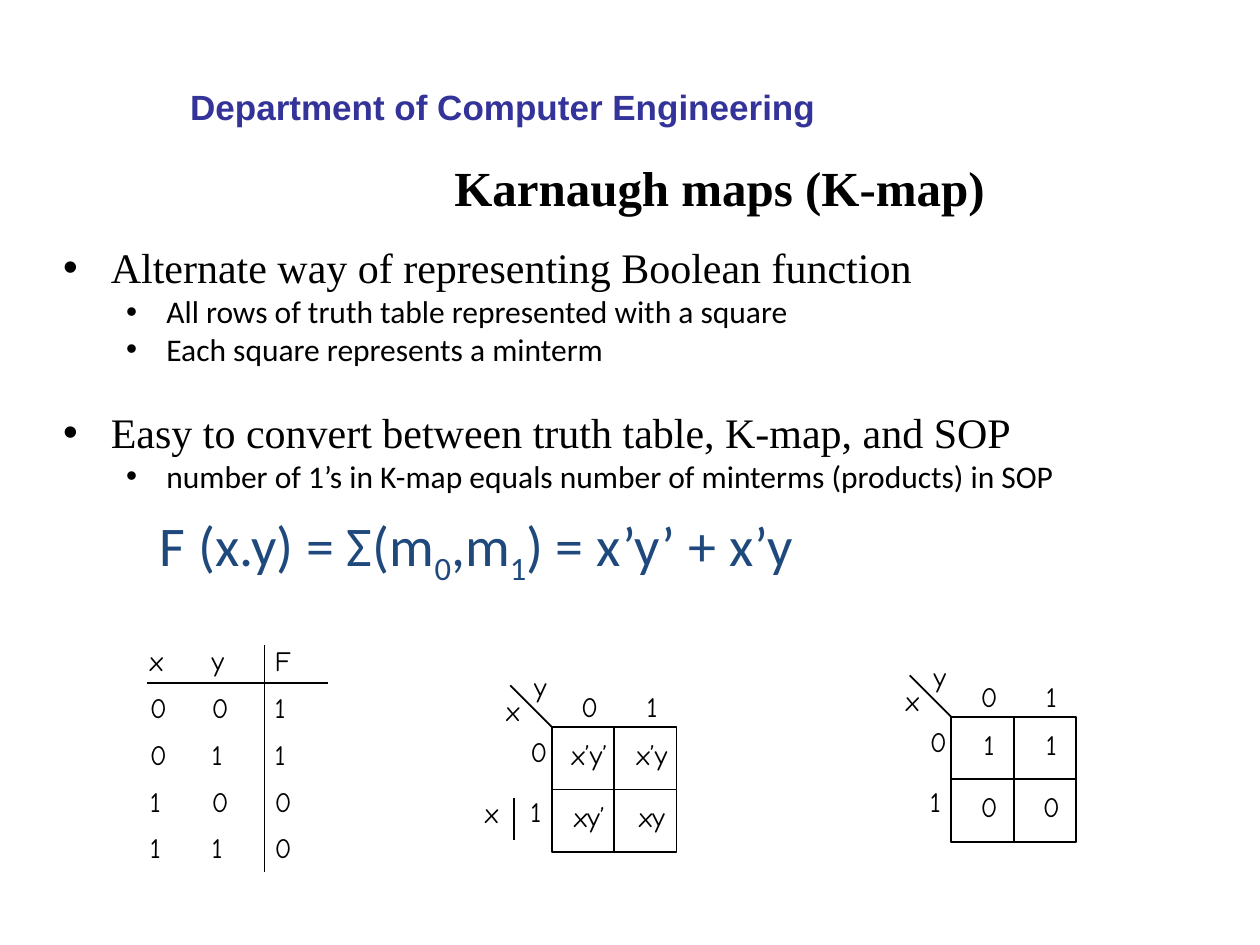
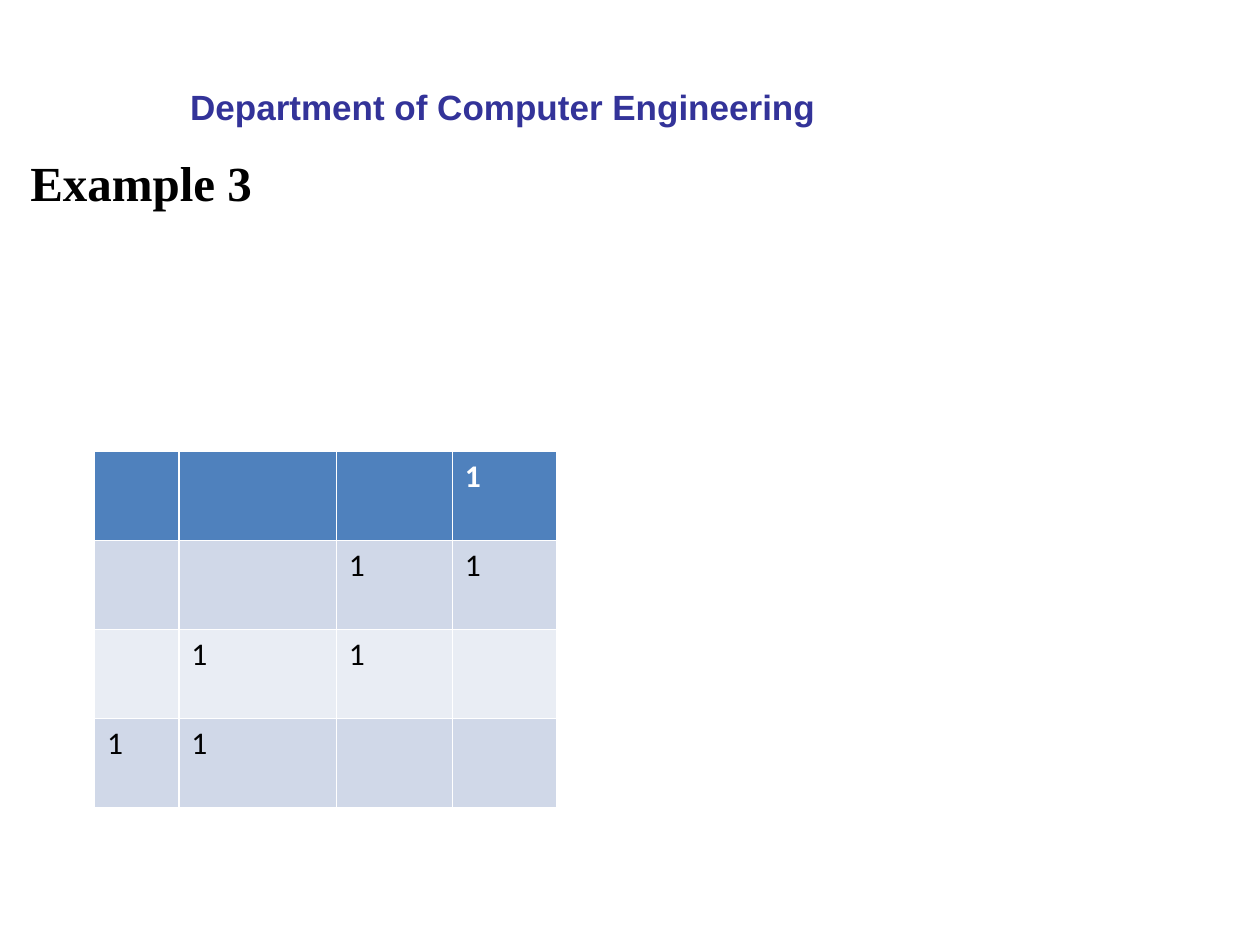
from lxml import etree
from pptx import Presentation
from pptx import util as u
from pptx.dml.color import RGBColor
from pptx.enum import shapes, text
from pptx.oxml.ns import qn

COLORS = {"ink": "000000", "header": "333399", "formula": "1F497D", "white": "FFFFFF",
          "accent": "4F81BD", "band": "D0D8E8", "light": "E9EDF4"}
COLS, ROWS = 100, 75  # grid laid over the slide
HEADING = {"size": 28, "name": "Times New Roman", "bold": True}
HEADER = {"size": 20, "name": "Arial", "bold": True, "color": "header"}
POINT = {"size": 24, "name": "Times New Roman"}
SUBPOINT = {"size": 18, "name": "Calibri"}
FORMULA = {"size": 32, "name": "Calibri", "color": "formula"}
HAND = {"size": 16, "name": "Comic Neue"}
LABEL_LINE, CELL_LINE = 15.8, 17.8  # line spacing in points
LEFT, CENTER = text.PP_ALIGN.LEFT, text.PP_ALIGN.CENTER


class Deck:
    """Holds the style and the current slide; lengths are grid columns and rows."""

    def __init__(self):
        self.prs = Presentation()
        self.prs.slide_width, self.prs.slide_height = u.Inches(10), u.Inches(7.5)
        self.s = None

    def x(self, cols):
        return u.Emu(round(self.prs.slide_width * cols / COLS))

    def y(self, rows):
        return u.Emu(round(self.prs.slide_height * rows / ROWS))

    def box(self, left, top, width, height):
        return self.x(left), self.y(top), self.x(width), self.y(height)

    def style(self, font, fmt):
        fmt = {"color": "ink", "bold": False, **fmt}
        font.color.rgb = RGBColor.from_string(COLORS[fmt.pop("color")])
        fmt["size"] = u.Pt(fmt["size"])
        for key, value in fmt.items():
            setattr(font, key, value)

    def run(self, p, words, fmt):
        r = p.add_run()
        r.text = words
        self.style(r.font, fmt)
        return r

    def frame(self, sp, inset=(0, 0)):
        """Prepare a text frame; inset is (sides, top and bottom) in inches."""
        tf = sp.text_frame
        side, end = (u.Inches(v) for v in inset)
        settings = {"word_wrap": True, "auto_size": text.MSO_AUTO_SIZE.NONE,
                    "vertical_anchor": text.MSO_ANCHOR.TOP, "margin_left": side,
                    "margin_right": side, "margin_top": end, "margin_bottom": end}
        for key, value in settings.items():
            setattr(tf, key, value)
        return tf

    def place(self, sp, area):
        for key, value in zip(("left", "top", "width", "height"), self.box(*area)):
            setattr(sp, key, value)

    def slide(self, layout, title, area, align=LEFT):
        self.s = self.prs.slides.add_slide(self.prs.slide_layouts[layout])
        sp = self.s.shapes.title
        self.place(sp, area)
        p = self.frame(sp).paragraphs[0]
        p.alignment = align
        self.run(p, title, HEADING)
        self.text(["Department of Computer Engineering"], (15.1, 6.6, 52, 3.6), HEADER,
                  inset=(0, 0.02))

    def bullets(self, items, area):
        """Fill the body placeholder from (level, space before, words) items."""
        sp = self.s.placeholders[1]
        self.place(sp, area)
        tf = self.frame(sp)
        for i, (level, gap, words) in enumerate(items):
            p = tf.add_paragraph() if i else tf.paragraphs[0]
            p.level, p.space_before = level, u.Pt(gap)
            margin, hang = ((0.38, 0.38), (0.82, 0.32))[level]
            pPr = p._p.get_or_add_pPr()
            pPr.set("marL", str(u.Inches(margin)))
            pPr.set("indent", str(-u.Inches(hang)))
            etree.SubElement(pPr, qn("a:buChar")).set("char", "•")
            self.run(p, words, (POINT, SUBPOINT)[level])

    def text(self, lines, area, fmt, align=LEFT, spacing=None, gap=0, tabs=(),
             inset=(0.02, 0.03)):
        sp = self.s.shapes.add_textbox(*self.box(*area))
        tf = self.frame(sp, inset)
        for i, words in enumerate(lines):
            p = tf.add_paragraph() if i else tf.paragraphs[0]
            p.alignment = align
            p.space_before = u.Pt(gap if i else 0)
            if spacing:
                p.line_spacing = u.Pt(spacing)
            if tabs:
                tab_list = etree.SubElement(p._p.get_or_add_pPr(), qn("a:tabLst"))
                for pos in tabs:
                    tab = etree.SubElement(tab_list, qn("a:tab"))
                    tab.set("pos", str(self.x(pos)))
                    tab.set("algn", "l")
            self.run(p, words, fmt)
        return tf

    def formula(self, parts, area):
        """Write parts on one line, every second part as a subscript."""
        p = self.text([parts[0]], area, FORMULA, inset=(0.1, 0.05)).paragraphs[0]
        for i, words in enumerate(parts[1:], 1):
            r = self.run(p, words, FORMULA)
            if i % 2:
                r._r.get_or_add_rPr().set("baseline", "-25000")

    def line(self, x1, y1, x2, y2):
        c = self.s.shapes.add_connector(shapes.MSO_CONNECTOR.STRAIGHT, self.x(x1),
                                        self.y(y1), self.x(x2), self.y(y2))
        c.line.width = u.Pt(1)
        c.line.color.rgb = RGBColor.from_string(COLORS["ink"])
        etree.SubElement(c._element.spPr, qn("a:effectLst"))
        return c

    def square(self, left, top, side):
        sp = self.s.shapes.add_shape(shapes.MSO_SHAPE.RECTANGLE,
                                     *self.box(left, top, side, side))
        sp.shadow.inherit = False
        sp.fill.background()
        sp.line.width = u.Pt(1)
        sp.line.color.rgb = RGBColor.from_string(COLORS["ink"])
        return sp

    def label(self, words, left, top, align=LEFT, spacing=LABEL_LINE):
        self.text([words], (left, top, 6, 3.6), HAND, align, spacing)

    def truth_table(self, rows, left, top):
        self.text(["\t".join(row) for row in rows], (left, top, 14.8, 18.7), HAND,
                  spacing=CELL_LINE, gap=8.9, tabs=(4.9, 9.9, 14.8))
        self.line(left, top + 3.2, left + 14.3, top + 3.2)
        self.line(left + 9.3, top + 0.2, left + 9.3, top + 18.2)

    def kmap(self, cells, left, top, cell=4.95):
        """Draw a two-by-two map whose square starts at left, top."""
        side = 2 * cell
        for i, row in enumerate(cells):
            self.label(str(i), left + i * cell, top - 2.8, CENTER)
            self.label(str(i), left - 1.9, top + 0.8 + 4.7 * i)
            for j, words in enumerate(row):
                self.label(words, left + j * cell, top + 0.7 + i * cell, CENTER, CELL_LINE)
        self.label("y", left - 1.6, top - 4.4)
        self.label("x", left - 3.8, top - 2.5)
        sq = self.square(left, top, side)
        ends = (((left + cell, top, left + cell, top + side), 0, 2),
                ((left + side, top + cell, left, top + cell), 3, 1))
        for points, start, stop in ends:
            c = self.line(*points)
            c.begin_connect(sq, start)
            c.end_connect(sq, stop)
        self.line(left, top, left - 3.3, top - 3.3)

    def table(self, rows, left, top, widths, height):
        area = self.box(left, top, sum(widths), height * len(rows))
        t = self.s.shapes.add_table(len(rows), len(widths), *area).table
        for col, width in zip(t.columns, widths):
            col.width = self.x(width)
        for i, row in enumerate(rows):
            t.rows[i].height = self.y(height)
            fill = "accent" if i == 0 else ("light", "band")[i % 2]
            fmt = {**SUBPOINT, "bold": i == 0, "color": "ink" if i else "white"}
            for j, words in enumerate(row):
                cell = t.cell(i, j)
                cell.fill.solid()
                cell.fill.fore_color.rgb = RGBColor.from_string(COLORS[fill])
                if words:
                    self.run(cell.text_frame.paragraphs[0], words, fmt)


def karnaugh_slide(deck):
    deck.slide(1, "Karnaugh maps (K-map)", (35, 12.5, 44.2, 4.7), CENTER)
    deck.bullets([
        (0, 0, "Alternate way of representing Boolean function"),
        (1, 0, "All rows of truth table represented with a square"),
        (1, 0, "Each square represents a minterm"),
        (0, 22, "Easy to convert between truth table, K-map, and SOP"),
        (1, 0, "number of 1’s in K-map equals number of minterms (products) in SOP"),
    ], (5, 19.2, 90.1, 36.4))
    deck.truth_table(["xyF", "001", "011", "100", "110"], 11.7, 51)
    deck.kmap(["11", "00"], 75.5, 56.9)
    left, top = 43.8, 57.7
    deck.kmap([("x’y’", "x’y"), ("xy’", "xy")], left, top)
    deck.line(left - 3, top + 5.6, left - 3, top + 9)
    deck.label("x", left - 5.5, top + 5.6)
    deck.formula(["F (x.y) = Σ(m", "0", ",m", "1", ") = x’y’ + x’y"], (11.7, 40, 60, 6.4))


def example_slide(deck):
    deck.slide(5, "Example 3", (2.4, 12.1, 29.7, 4.7))
    deck.table([("", "", "", "1"), ("", "", "1", "1"), ("", "1", "1", ""),
                ("1", "1", "", "")], 7.5, 35.8, (6.7, 12.5, 9.2, 8.3), 7.08)


def main():
    deck = Deck()
    karnaugh_slide(deck)
    example_slide(deck)
    deck.prs.save("out.pptx")


if __name__ == "__main__":
    main()
